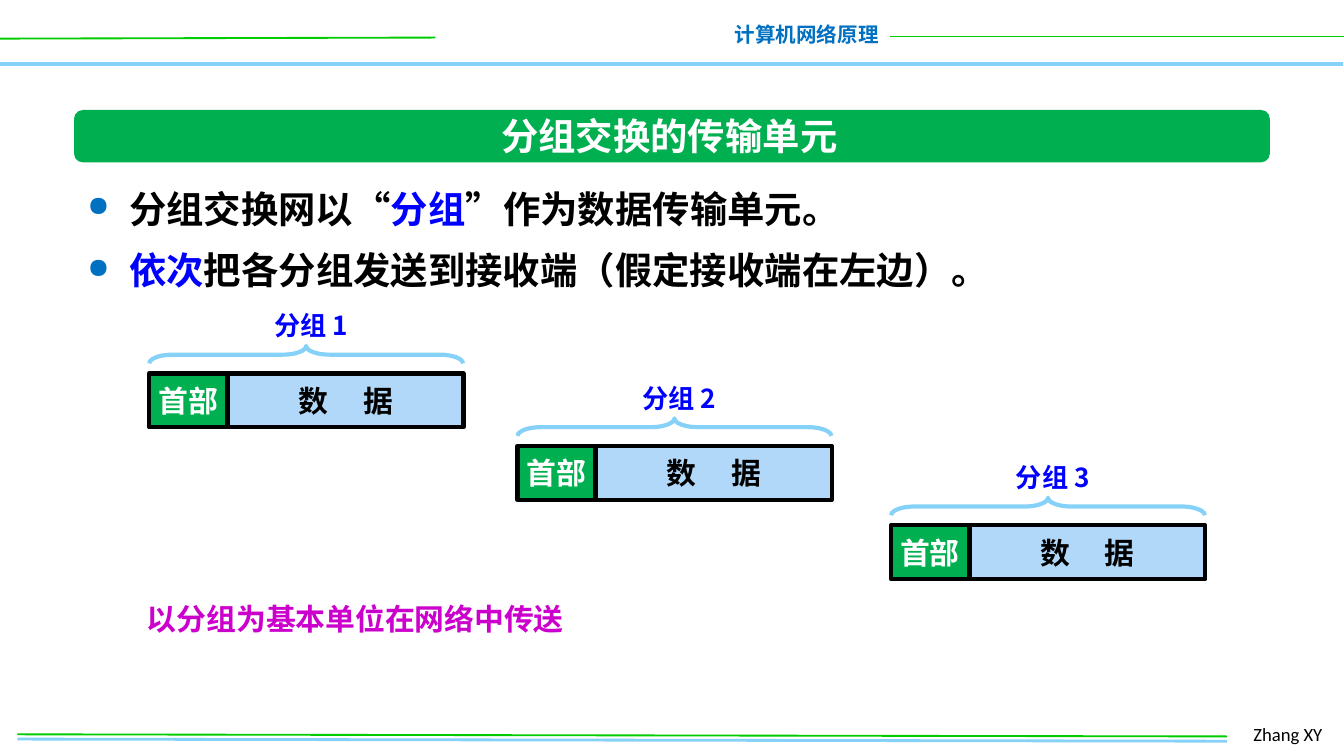
from lxml import etree
from pptx import Presentation
from pptx import util as u
from pptx.dml.color import RGBColor
from pptx.enum import shapes, text
from pptx.oxml.ns import qn

CJK = "Noto Sans CJK SC"
BLUE, SKY, GREEN, LIME = "0000FF", "85D1F7", "00B050", "00CC00"
BLACK, WHITE, ACCENT = "000000", "FFFFFF", "0070C0"
LEFT, MID, RIGHT = text.PP_ALIGN.LEFT, text.PP_ALIGN.CENTER, text.PP_ALIGN.RIGHT


def rgb(code):
    return RGBColor.from_string(code)


def cm(*nums):
    return [u.Cm(n) for n in nums]


def sub(node, tag, **attrs):
    return etree.SubElement(node, qn(tag), attrs)


def style(para, size, color, face=CJK, bold=True, align=LEFT):
    para.alignment = align
    font = para.font
    font.size, font.bold, font.name = u.Pt(size), bold, face
    font.color.rgb = rgb(color)
    if face == CJK:
        sub(font._element, "a:ea", typeface=face)


def add_line(tree, x1, y1, x2, y2, color, width):
    line = tree.add_connector(shapes.MSO_CONNECTOR.STRAIGHT, *cm(x1, y1, x2, y2))
    line.line.color.rgb = rgb(color)
    line.line.width = u.Pt(width)
    sub(line._element.spPr, "a:effectLst")


def add_shape(tree, kind, box, fill=None, line=None):
    shape = tree.add_shape(kind, *cm(*box))
    shape.shadow.inherit = False
    if fill:
        shape.fill.solid()
        shape.fill.fore_color.rgb = rgb(fill)
    else:
        shape.fill.background()
    if line:
        shape.line.color.rgb = rgb(line)
        shape.line.width = u.Pt(2.25)
    else:
        shape.line.fill.background()
    return shape


def add_text(tree, box, words, size, color, wrap=False, **look):
    frame = tree.add_textbox(*cm(*box)).text_frame
    frame.word_wrap = wrap
    para = frame.paragraphs[0]
    para.text = words
    style(para, size, color, **look)
    return frame


def add_cell(tree, box, words, fill, color, gap=0):
    frame = add_shape(tree, shapes.MSO_SHAPE.RECTANGLE, box, fill, BLACK).text_frame
    frame.word_wrap = False
    frame.vertical_anchor = text.MSO_ANCHOR.MIDDLE
    para = frame.paragraphs[0]
    for part in words:
        run = para.add_run()
        run.text = part
        if part == " ":  # widen the gap between the characters
            run.font._element.set("spc", str(gap))
    style(para, 16, color, align=MID)


def add_packet(slide, num, x, y):
    tree = slide.shapes.add_group_shape().shapes
    add_cell(tree, (x + 1.49, y, 4.45, 1.02), ["数", " ", "据"], "B1D8F9", BLACK, 1500)
    add_cell(tree, (x, y, 1.47, 1.02), ["首部"], GREEN, WHITE)
    brace = add_shape(tree, shapes.MSO_SHAPE.LEFT_BRACE,
                      (x + 2.8, y - 3.32, 0.33, 5.93), line=SKY)
    brace.rotation = 90
    brace.adjustments[0] = 1.344
    frame = add_text(tree, (x + 2.11, y - 1.34, 1.98, 0.86), f"分组 {num}", 14, BLUE)
    frame.vertical_anchor = text.MSO_ANCHOR.MIDDLE
    frame.margin_right = 0  # room for the number on the same line


def add_bullets(slide, box, items):
    frame = slide.shapes.add_textbox(*cm(*box)).text_frame
    frame.word_wrap = True
    for i, runs in enumerate(items):
        para = frame.add_paragraph() if i else frame.paragraphs[0]
        para.line_spacing = u.Pt(33)
        props = para._p.get_or_add_pPr()
        props.set("marL", str(u.Cm(0.79)))
        props.set("indent", str(-u.Cm(0.79)))
        sub(sub(props, "a:buClr"), "a:srgbClr", val=ACCENT)
        sub(props, "a:buSzPct", val="75000")
        sub(props, "a:buChar", char="●")
        for words, color in runs:
            run = para.add_run()
            run.text = words
            run.font.color.rgb = rgb(color)
        style(para, 20, BLACK)


def main():
    deck = Presentation()
    deck.slide_width, deck.slide_height = cm(25.4, 14.29)
    slide = deck.slides.add_slide(deck.slide_layouts[6])
    tree = slide.shapes

    # Header and footer
    add_line(tree, -0.02, 1.21, 25.38, 1.21, SKY, 2)
    add_line(tree, 0, 0.73, 8.23, 0.71, LIME, 1)
    add_text(tree, (13.61, 0.3, 3.25, 0.73), "计算机网络原理", 11, ACCENT, align=RIGHT)
    add_line(tree, 16.82, 0.69, 25.42, 0.69, LIME, 1)
    add_line(tree, 0.33, 13.97, 23.19, 14.01, SKY, 1.5)
    add_text(tree, (23.44, 13.54, 1.88, 0.69), "Zhang XY", 10, BLACK,
             wrap=True, face="Calibri", bold=False)
    add_line(tree, 0.33, 13.88, 23.19, 13.92, LIME, 1)

    # Title bar
    add_shape(tree, shapes.MSO_SHAPE.ROUNDED_RECTANGLE, (1.4, 2.08, 22.6, 0.99), GREEN)
    add_text(tree, (9.22, 2.01, 6.93, 1.12), "分组交换的传输单元", 20, WHITE, face="Calibri")

    # Main points
    add_bullets(slide, (1.4, 3.07, 21.56, 2.62), [
        [("分组交换网以“", BLACK), ("分组", BLUE), ("”作为数据传输单元。", BLACK)],
        [("依次", BLUE), ("把各分组发送到接收端（假定接收端在左边）。", BLACK)],
    ])

    # Packets, stepping down to the right
    spots = [(2.82, 7.06), (9.78, 8.43), (16.84, 9.93)]
    for num, (x, y) in enumerate(spots, 1):
        add_packet(slide, num, x, y)

    # Closing remark
    add_text(tree, (2.29, 11.23, 8.86, 0.94), "以分组为基本单位在网络中传送", 16, "CC00CC",
             wrap=True, align=MID)

    deck.save("out.pptx")


if __name__ == "__main__":
    main()
